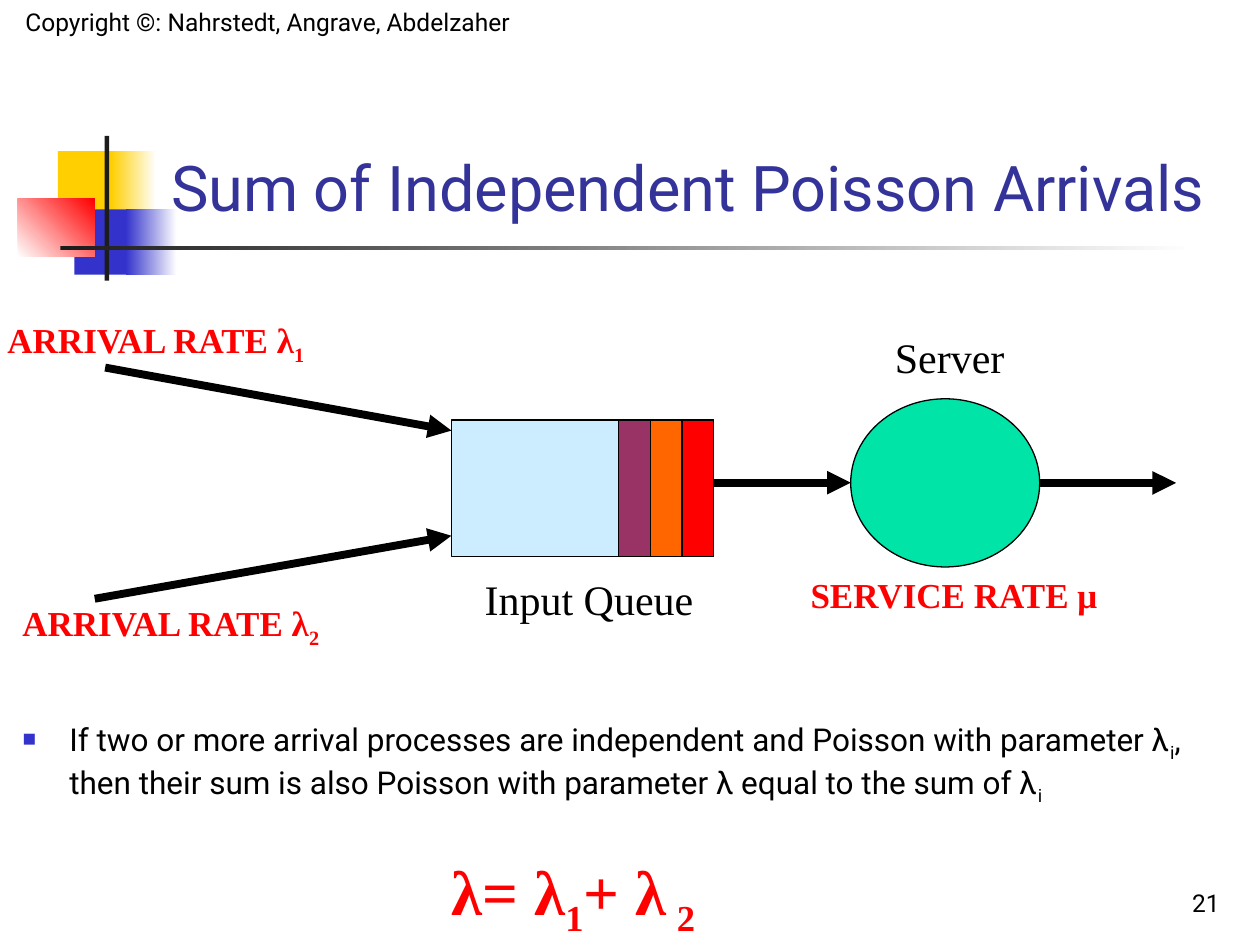
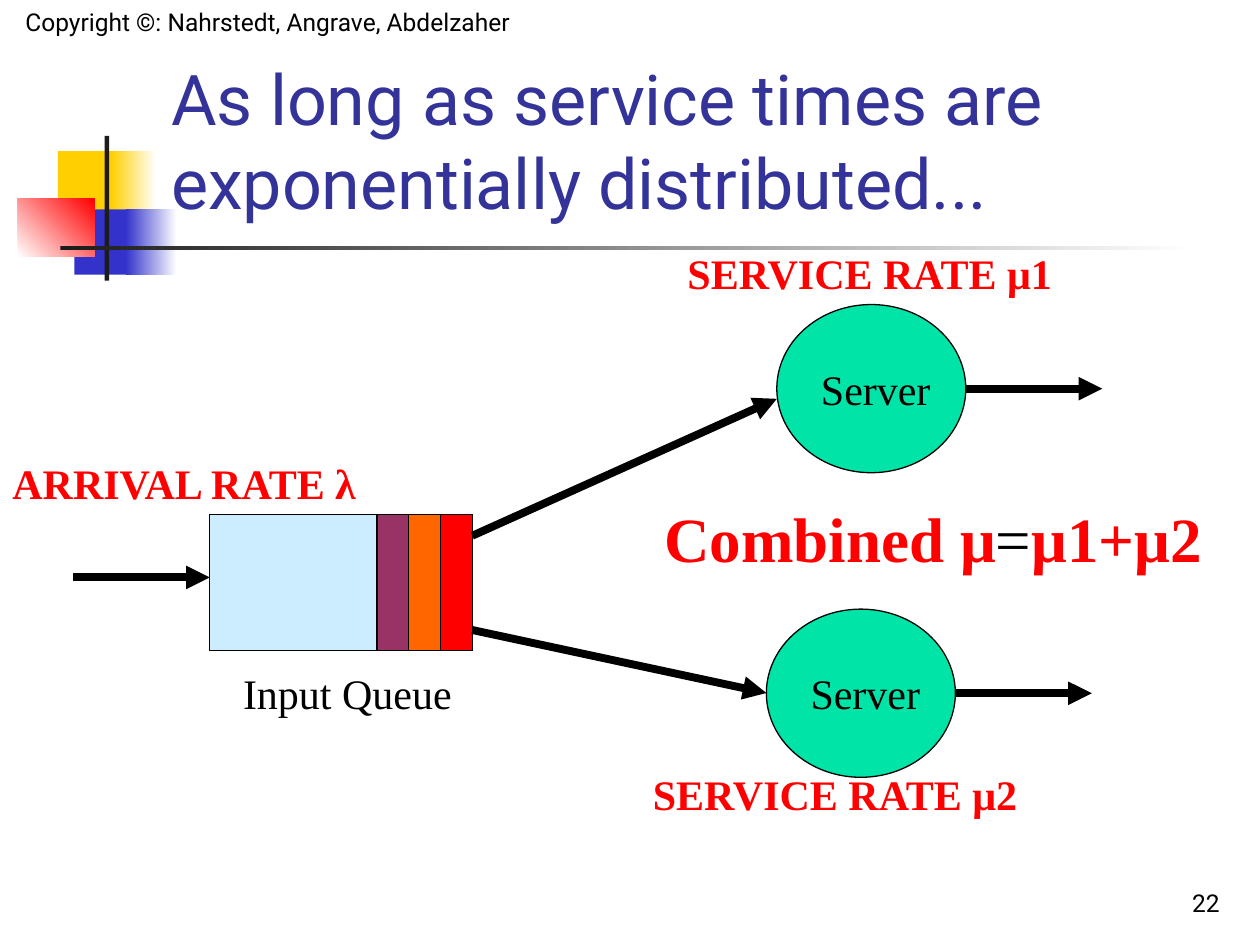
from lxml.etree import SubElement
from pptx import Presentation
from pptx.dml.color import RGBColor
from pptx.enum.shapes import MSO_CONNECTOR, MSO_SHAPE
from pptx.enum.text import MSO_ANCHOR as ANCHOR, MSO_AUTO_SIZE as AUTO, PP_ALIGN as ALIGN
from pptx.oxml.ns import qn
from pptx.util import Cm, Pt

COLORS = {
    "white": "FFFFFF", "black": "000000", "ink": "1C1C1C", "title": "333399",
    "yellow": "FFCF01", "blue": "3333CC", "red": "FF0000", "queue": "CCECFF",
    "plum": "993366", "orange": "FF6600", "server": "00E4A8",
}
SANS, SERIF = "Roboto", "Times New Roman"
RATE = dict(color="red", bold=True)
SUB = dict(sub=True)

QUEUE_W, QUEUE_H, SLOT_W = 5.29, 2.75, 0.64
SERVER_W, SERVER_H = 3.81, 3.39
OUTPUT_LENGTH = 2.75


def rgb(name):
    """Return the named palette colour."""
    return RGBColor.from_string(COLORS[name])


def add_text(slide, text, left, top, width, height, size=24, font=SERIF, color="black",
             bold=False, align=ALIGN.LEFT, anchor=ANCHOR.TOP, wrap=False, bullet=None):
    """Add a text box; text is a string or a list of (string, format) runs."""
    box = slide.shapes.add_textbox(Cm(left), Cm(top), Cm(width), Cm(height))
    frame = box.text_frame
    frame.word_wrap = wrap
    frame.auto_size = AUTO.NONE if wrap else AUTO.SHAPE_TO_FIT_TEXT
    frame.vertical_anchor = anchor
    paragraph = frame.paragraphs[0]
    paragraph.alignment = align
    if bullet:
        add_bullet(paragraph, bullet)
    for words, changes in [(text, {})] if isinstance(text, str) else text:
        style = dict(size=size, color=color, bold=bold, sub=False) | changes
        run = paragraph.add_run()
        run.text = words
        run.font.name = font
        run.font.size = Pt(style["size"])
        run.font.bold = style["bold"]
        run.font.color.rgb = rgb(style["color"])
        if style["sub"]:
            run.font._element.set("baseline", "-25000")


def add_bullet(paragraph, color):
    """Give a paragraph a small square bullet and a hanging indent."""
    props = paragraph._p.get_or_add_pPr()
    indent = Cm(0.95)
    props.set("marL", str(indent))
    props.set("indent", str(-indent))
    tint = SubElement(props, qn("a:buClr"))
    SubElement(tint, qn("a:srgbClr")).set("val", COLORS[color])
    SubElement(props, qn("a:buSzPct")).set("val", "60000")
    SubElement(props, qn("a:buChar")).set("char", "■")


def add_block(slide, left, top, width, height, fill, fade_to=None, angle=0,
              outlined=False, kind=MSO_SHAPE.RECTANGLE):
    """Add a filled shape, solid or fading to a second colour."""
    block = slide.shapes.add_shape(kind, Cm(left), Cm(top), Cm(width), Cm(height))
    block.shadow.inherit = False
    if fade_to:
        block.fill.gradient()
        block.fill.gradient_angle = angle
        for stop, name, position in zip(block.fill.gradient_stops, (fill, fade_to), (0, 1)):
            stop.color.rgb = rgb(name)
            stop.position = position
    else:
        block.fill.solid()
        block.fill.fore_color.rgb = rgb(fill)
    if outlined:
        block.line.color.rgb = rgb("black")
        block.line.width = Pt(0.75)
    else:
        block.line.fill.background()


def add_arrow(slide, x1, y1, x2, y2):
    """Add a thick black arrow."""
    arrow = slide.shapes.add_connector(MSO_CONNECTOR.STRAIGHT, Cm(x1), Cm(y1), Cm(x2), Cm(y2))
    arrow.line.width = Pt(4.5)
    arrow.line.color.rgb = rgb("black")
    props = arrow._element.spPr
    SubElement(props.find(qn("a:ln")), qn("a:tailEnd")).set("type", "triangle")
    SubElement(props, qn("a:effectLst"))


def add_emblem(slide, left, top):
    """Draw the coloured squares and the crossing rules beside the title."""
    for x, y, width, height, *paint in (
        (0.81, 0.31, 1.22, 1.32, "yellow"),
        (1.88, 0.31, 0.91, 1.32, "yellow", "white"),
        (1.14, 1.48, 1.17, 1.32, "blue"),
        (2.18, 1.48, 1.02, 1.32, "blue", "white"),
        (0, 1.27, 1.55, 1.17, "white", "red", 45),
        (1.75, 0, 0.09, 2.92, "ink"),
        (0.86, 2.21, 22.86, 0.09, "ink", "white"),
    ):
        add_block(slide, left + x, top + y, width, height, *paint)


def add_frame(deck, title, number, title_size):
    """Add a blank slide with emblem, copyright, number and title."""
    slide = deck.slides.add_slide(deck.slide_layouts[6])
    add_emblem(slide, 0.36, 2.74)
    small = dict(size=14, font=SANS, anchor=ANCHOR.BOTTOM, wrap=True)
    add_text(slide, "Copyright ©: Nahrstedt, Angrave, Abdelzaher", 0, 0, 10.8, 0.85,
             align=ALIGN.CENTER, **small)
    add_text(slide, str(number), 19.56, 17.35, 5.28, 1.27, align=ALIGN.RIGHT, **small)
    add_text(slide, title, 3.2, 0.58, 21.64, 4.06, color="title",
             **small | dict(size=title_size))
    return slide


def add_queue(slide, left, top):
    """Draw the input queue with three waiting jobs and its label."""
    add_block(slide, left, top, QUEUE_W, QUEUE_H, "queue", outlined=True)
    for place, job in enumerate(("red", "orange", "plum"), start=1):
        add_block(slide, left + QUEUE_W - place * SLOT_W, top, SLOT_W, QUEUE_H, job,
                  outlined=True)
    add_text(slide, "Input Queue", left + 0.42, top + 2.96, 4.72, 1.27)


def add_server(slide, left, top, label_drop=1.06):
    """Draw a server with its label and its output arrow."""
    middle, right = top + SERVER_H / 2, left + SERVER_W
    add_block(slide, left, top, SERVER_W, SERVER_H, "server", outlined=True,
              kind=MSO_SHAPE.OVAL)
    add_text(slide, "Server", left + 0.64, top + label_drop, 2.72, 1.27)
    add_arrow(slide, right, middle, right + OUTPUT_LENGTH, middle)


def add_merged_arrivals(slide, left, top):
    """Draw two arrival streams that feed one queue and one server."""
    queue_x, server_x = left + 9.1, left + 17.15
    add_queue(slide, queue_x, top + 2.17)
    add_server(slide, server_x, top + 1.74, label_drop=-1.48)
    add_arrow(slide, queue_x + QUEUE_W, top + 3.43, server_x, top + 3.43)
    add_arrow(slide, left + 2.12, top + 1.11, queue_x, top + 2.38)
    add_arrow(slide, left + 1.91, top + 5.77, queue_x, top + 4.5)
    for index, x, y in (("1", -0.1, 0), ("2", 0.2, 5.71)):
        add_text(slide, [("ARRIVAL RATE λ", {}), (index, SUB)],
                 left + x, top + y, 6.76, 1.09, size=20, **RATE)
    add_text(slide, "SERVICE RATE μ", left + 16.09, top + 5.13, 6.38, 1.09, size=20, **RATE)


def add_split_service(slide, left, top):
    """Draw one queue that feeds two servers."""
    queue_x, queue_y = left + 4.23, top + 5.5
    add_queue(slide, queue_x, queue_y)
    add_arrow(slide, queue_x - 2.75, top + 6.77, queue_x, top + 6.77)
    add_text(slide, "ARRIVAL RATE λ", left, top + 4.23, 7.72, 1.27, **RATE)
    for index, server_x, server_y, exit_y, entry_y, rate_x, rate_y in (
        (1, 15.66, 1.27, 0.43, 1.9, 13.61, 0),
        (2, 15.45, 7.41, 2.33, 1.69, 12.91, 10.5),
    ):
        add_server(slide, left + server_x, top + server_y)
        add_arrow(slide, queue_x + QUEUE_W, queue_y + exit_y,
                  left + server_x, top + server_y + entry_y)
        add_text(slide, f"SERVICE RATE μ{index}", left + rate_x, top + rate_y, 7.98, 1.27, **RATE)
    add_text(slide, [("Combined μ", {}), ("=", dict(color="black", bold=False)), ("μ1+μ2", {})],
             left + 13.12, top + 5.08, 11.38, 1.78, size=36, align=ALIGN.CENTER, **RATE)


def add_sum_rule(slide, left, top):
    """Write the rule for the sum of arrivals and its equation."""
    rule = [
        ("If two or more arrival processes are independent and Poisson with parameter λ", {}),
        ("i", SUB),
        (", then their sum is also Poisson with parameter λ equal to the sum of λ", {}),
        ("i", SUB),
    ]
    add_text(slide, rule, left, top, 25.2, 2.54, size=18, font=SANS, wrap=True, bullet="blue")
    equation = [("λ= λ", {}), ("1", SUB), ("+ λ", {}), (" ", dict(size=24)), ("2", SUB)]
    add_text(slide, equation, left + 8.66, top + 2.67, 5.74, 1.78, size=36, **RATE)


def main():
    """Build both slides and save the deck."""
    deck = Presentation()
    deck.slide_width, deck.slide_height = Cm(25.4), Cm(19.05)

    arrivals = add_frame(deck, "Sum of Independent Poisson Arrivals", 21, 36)
    add_merged_arrivals(arrivals, 0, 6.3)
    add_sum_rule(arrivals, 0.2, 14.4)

    service = add_frame(deck, "As long as service times are exponentially distributed...", 22, 40)
    add_split_service(service, 0, 4.87)

    deck.save("out.pptx")


if __name__ == "__main__":
    main()
